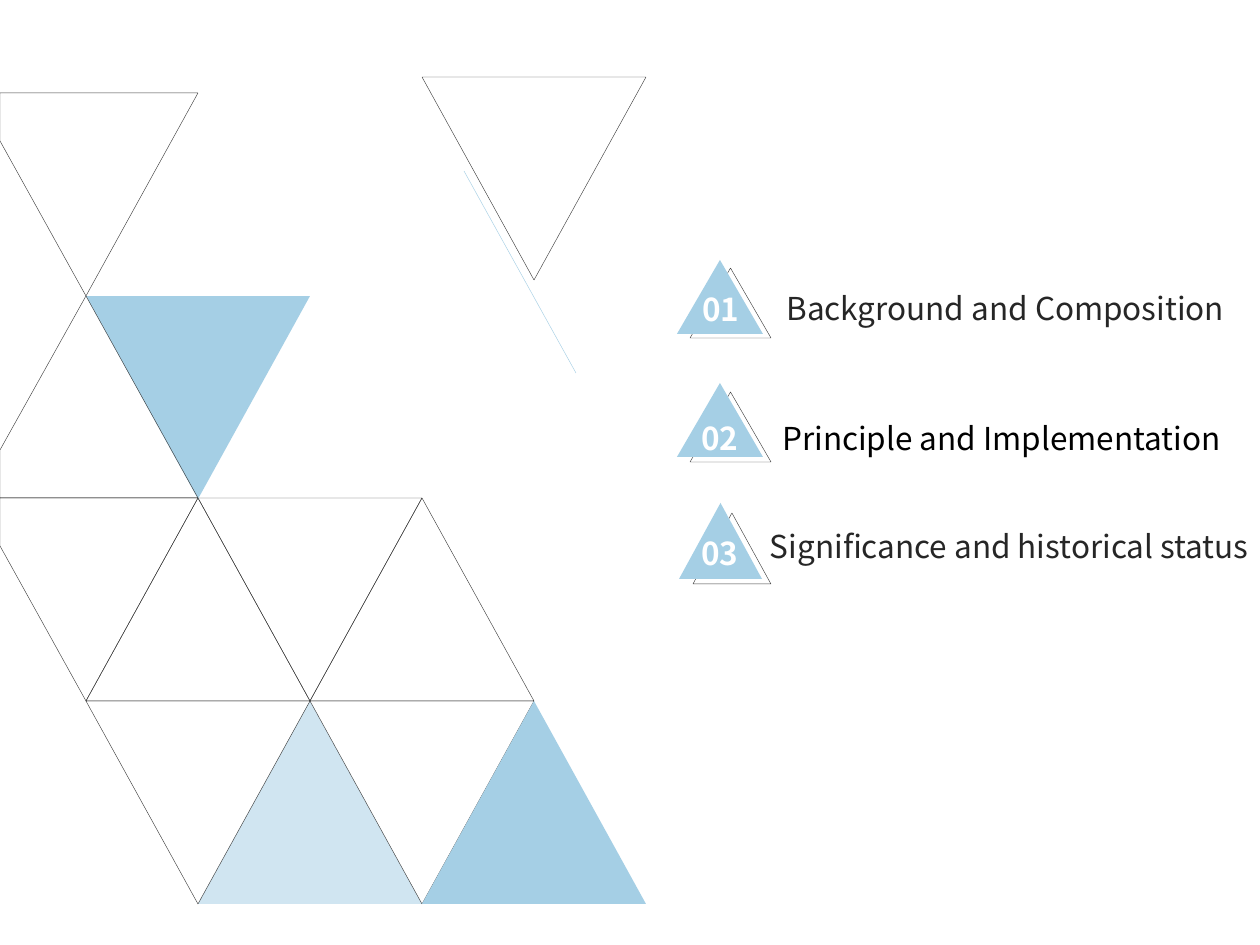
"""Build an agenda slide with a triangle mosaic and three numbered entries."""
from dataclasses import dataclass
from typing import Optional

import lxml.etree
import pptx
import pptx.dml.color
import pptx.enum.shapes
import pptx.enum.text
import pptx.oxml.ns
import pptx.util

RGBColor = pptx.dml.color.RGBColor
Align = pptx.enum.text.PP_ALIGN
Anchor = pptx.enum.text.MSO_ANCHOR

BLUE = RGBColor(0xA5, 0xCF, 0xE5)
OUTLINE = RGBColor(0x40, 0x40, 0x40)
INK = RGBColor(0x26, 0x26, 0x26)
BLACK = RGBColor(0, 0, 0)
WHITE = RGBColor(0xFF, 0xFF, 0xFF)
FONT = "Noto Sans CJK SC"
EMU_PER_PX = 914400 / 126

GRID_LEFT = 86
HALF_SIDE = 112
TILE_HEIGHT = 203
ROW_TOPS = (93, 296, 498, 701)
CLIPPED_SIDE = 48


@dataclass(frozen=True)
class Rect:
    left: int
    top: int
    width: int
    height: int


@dataclass(frozen=True)
class Tile:
    column: int
    row: int
    down: bool
    fill: Optional[RGBColor] = None
    opacity: int = 100


@dataclass(frozen=True)
class Label:
    text: str
    rect: Rect
    color: RGBColor = INK
    bold: bool = False
    inset: bool = False
    anchor: Anchor = Anchor.MIDDLE
    align: Align = Align.LEFT


@dataclass(frozen=True)
class Entry:
    outline: Rect
    solid: Rect
    number: Label
    title: Label


def number_label(text: str, left: int, top: int) -> Label:
    """Describe the white number on a badge."""
    return Label(text, Rect(left, top, 64, 50), WHITE, True, True, Anchor.TOP)


TILES = (
    Tile(1, 2, True),
    Tile(1, 3, False, BLUE, 52),
    Tile(0, 2, False),
    Tile(2, 3, True),
    Tile(3, 3, False, BLUE),
    Tile(0, 3, True),
    Tile(0, 1, True, BLUE),
    Tile(2, 2, False),
)
CLIPPED_TILES = ((0, True), (1, False), (2, True))
ENTRIES = (
    Entry(Rect(690, 268, 81, 70), Rect(677, 260, 86, 74),
          number_label("01", 690, 284),
          Label("Background and Composition", Rect(771, 255, 469, 105), align=Align.CENTER)),
    Entry(Rect(690, 392, 81, 70), Rect(677, 383, 86, 74),
          number_label("02", 689, 413),
          Label("Principle and Implementation", Rect(770, 413, 630, 50), BLACK,
                inset=True, anchor=Anchor.TOP)),
    Entry(Rect(693, 513, 78, 71), Rect(679, 503, 83, 76),
          number_label("03", 689, 528),
          Label("Significance and historical status", Rect(770, 481, 536, 130))),
)


def px(length: float) -> pptx.util.Emu:
    """Turn px into EMU."""
    return pptx.util.Emu(round(length * EMU_PER_PX))


def place(rect: Rect) -> tuple:
    """Give left, top, width and height in EMU."""
    return px(rect.left), px(rect.top), px(rect.width), px(rect.height)


def style(shape, fill: Optional[RGBColor] = None, opacity: int = 100) -> None:
    """Fill a shape without a line, or give it a thin outline only."""
    shape.shadow.inherit = False
    if fill is None:
        shape.fill.background()
        shape.line.color.rgb = OUTLINE
        shape.line.width = pptx.util.Pt(0.25)
        return
    shape.fill.solid()
    shape.fill.fore_color.rgb = fill
    shape.line.fill.background()
    if opacity < 100:
        color = next(shape.fill._xPr.iter(pptx.oxml.ns.qn("a:srgbClr")))
        alpha = lxml.etree.SubElement(color, pptx.oxml.ns.qn("a:alpha"))
        alpha.set("val", str(opacity * 1000))


def add_triangle(page, rect: Rect, down: bool = False,
                 fill: Optional[RGBColor] = None, opacity: int = 100) -> None:
    """Draw a triangle pointing up or down."""
    triangle = page.shapes.add_shape(
        pptx.enum.shapes.MSO_SHAPE.ISOSCELES_TRIANGLE, *place(rect))
    triangle.rotation = 180 if down else 0
    style(triangle, fill, opacity)


def add_tile(page, tile: Tile) -> None:
    """Draw one whole triangle of the mosaic."""
    rect = Rect(GRID_LEFT + tile.column * HALF_SIDE, ROW_TOPS[tile.row],
                2 * HALF_SIDE, TILE_HEIGHT)
    add_triangle(page, rect, tile.down, tile.fill, tile.opacity)


def add_clipped_tile(page, row: int, down: bool) -> None:
    """Draw a triangle cut off by the left slide edge."""
    top = ROW_TOPS[row]
    bottom = ROW_TOPS[row + 1]
    base, tip = (top, bottom) if down else (bottom, top)
    cut = base + CLIPPED_SIDE if down else base - CLIPPED_SIDE
    builder = page.shapes.build_freeform(GRID_LEFT + HALF_SIDE, base, scale=EMU_PER_PX)
    builder.add_line_segments([(0, base), (0, cut), (GRID_LEFT, tip)], close=True)
    style(builder.convert_to_shape())


def add_accent_line(page) -> None:
    """Draw the thin blue slanted line."""
    line = page.shapes.add_connector(
        pptx.enum.shapes.MSO_CONNECTOR.STRAIGHT, px(464), px(171), px(576), px(373))
    line.line.color.rgb = BLUE
    line.line.width = pptx.util.Pt(0.25)
    lxml.etree.SubElement(line._element.spPr, pptx.oxml.ns.qn("a:effectLst"))


def add_label(page, label: Label) -> None:
    """Write one line of text."""
    frame = page.shapes.add_textbox(*place(label.rect)).text_frame
    frame.word_wrap = True
    frame.vertical_anchor = label.anchor
    if not label.inset:
        frame.margin_left = frame.margin_right = 0
        frame.margin_top = frame.margin_bottom = 0
    para = frame.paragraphs[0]
    para.text = label.text
    para.alignment = label.align
    para.font.name = FONT
    para.font.size = pptx.util.Pt(18)
    para.font.bold = label.bold
    para.font.color.rgb = label.color


def add_entry(page, entry: Entry) -> None:
    """Draw a numbered badge and its title."""
    add_triangle(page, entry.outline)
    add_triangle(page, entry.solid, fill=BLUE)
    add_label(page, entry.number)
    add_label(page, entry.title)


def main() -> None:
    """Build and save the deck."""
    deck = pptx.Presentation()
    deck.slide_width = px(1260)
    deck.slide_height = px(945)
    page = deck.slides.add_slide(deck.slide_layouts[6])
    add_triangle(page, Rect(422, 77, 2 * HALF_SIDE, TILE_HEIGHT), down=True)
    for tile in TILES:
        add_tile(page, tile)
    for row, down in CLIPPED_TILES:
        add_clipped_tile(page, row, down)
    add_accent_line(page)
    for entry in ENTRIES:
        add_entry(page, entry)
    deck.save("out.pptx")


if __name__ == "__main__":
    main()
